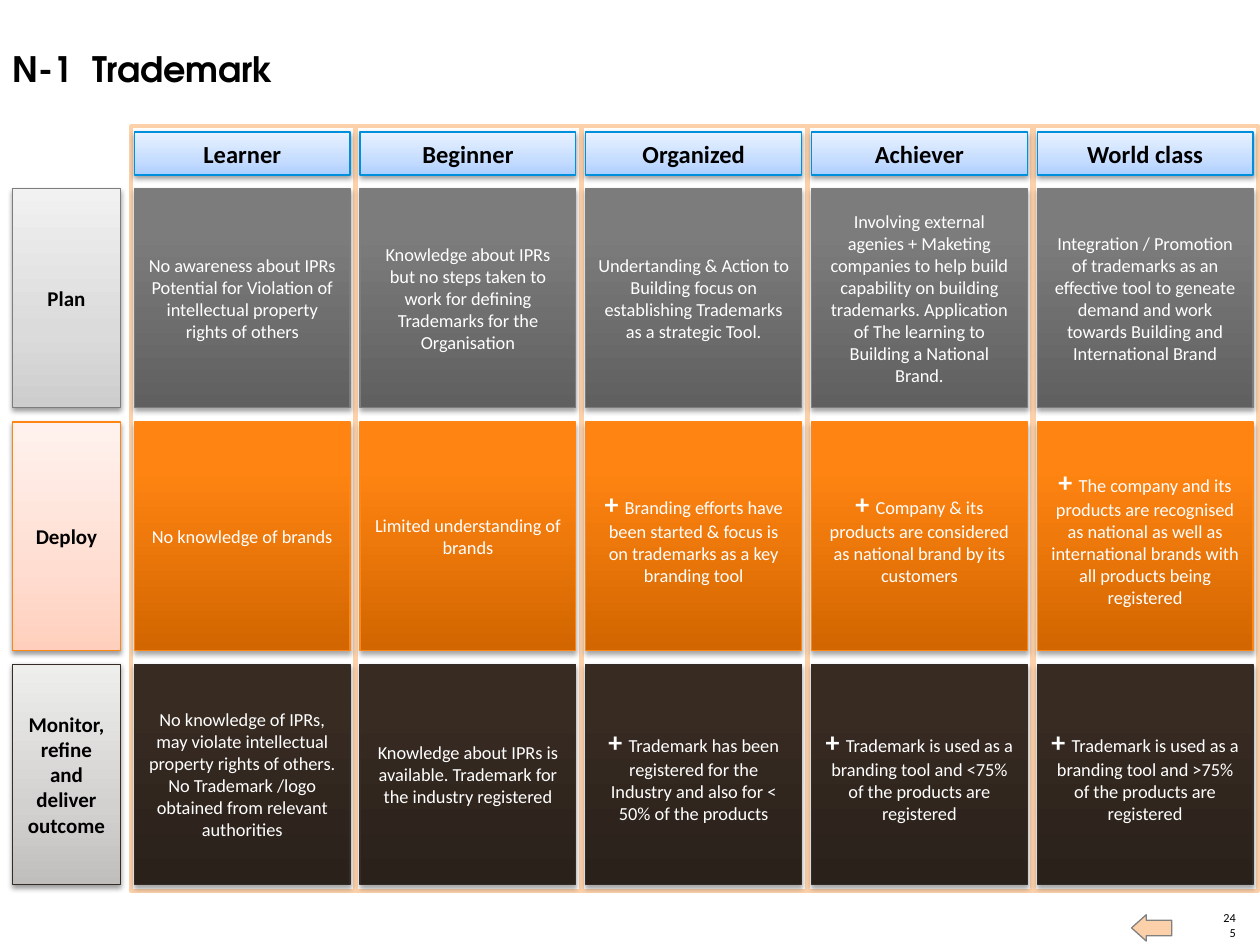
from lxml import etree
from pptx import Presentation
from pptx import util as u
from pptx.dml.color import RGBColor
from pptx.enum import shapes, text
from pptx.oxml.ns import qn

BODY_FONT = "Calibri"
TITLE_FONT = "TeX Gyre Adventor"
PEACH = "FCD1AA"

# Grid, in centimetres
LABEL_LEFT, LABEL_WIDTH = 0.25, 2.18
FRAME_LEFT, FRAME_TOP, FRAME_WIDTH, FRAME_HEIGHT = 2.64, 2.54, 4.52, 15.42
CELL_LEFT, CELL_WIDTH, PITCH = 2.71, 4.35, 4.55
HEADER_TOP, HEADER_HEIGHT = 2.66, 0.87

LABEL_STOPS = (0, 35, 100)
CELL_STOPS = (0, 80, 100)
LABEL_SHADOW = {"opacity": 38, "distance": 1.6}
CELL_SHADOW = {"opacity": 35, "distance": 1.8}

HEADER_COLOURS = ("AECFFF", "C6DDFF", "E9F2FF")
HEADERS = ("Learner", "Beginner", "Organized", "Achiever", "World class")

ROWS = (
    {
        "label": "Plan", "top": 3.8, "height": 4.42, "line": "7D7D7D",
        "label_colours": ("CDCDCD", "DBDBDB", "F1F1F1"),
        "cell_colours": ("606060", "7C7C7C", "7D7D7D"),
        "cells": (
            "No awareness about IPRs\n"
            "Potential for Violation of intellectual property rights of others",
            "Knowledge about IPRs but no steps taken to work for defining "
            "Trademarks for the Organisation",
            "Undertanding & Action to Building focus on establishing "
            "Trademarks as a strategic Tool.",
            "Involving external agenies + Maketing companies to help build "
            "capability on building trademarks. Application of The learning "
            "to Building a National Brand.",
            "Integration / Promotion of trademarks as an effective tool to "
            "geneate demand and work towards Building and International Brand",
        ),
    },
    {
        "label": "Deploy", "top": 8.51, "height": 4.6, "line": "FF8615",
        "label_colours": ("FFCFBD", "FFDDD1", "FFF2EE"),
        "cell_colours": ("D26600", "FF8412", "FF8514"),
        "cells": (
            "No knowledge of brands",
            "Limited understanding of brands",
            "+ Branding efforts have been started & focus is on trademarks "
            "as a key branding tool",
            "+ Company & its products are considered as national brand by "
            "its customers",
            "+ The company and its products are recognised as national as "
            "well as international brands with all products being registered",
        ),
    },
    {
        "label": "Monitor, refine and deliver outcome",
        "top": 13.39, "height": 4.44, "line": "352C25",
        "label_colours": ("C0BEBC", "D3D1D0", "EEEEED"),
        "cell_colours": ("2A211B", "372B22", "372B22"),
        "cells": (
            "No knowledge of IPRs, may violate intellectual property rights "
            "of others. No Trademark /logo obtained from relevant authorities",
            "Knowledge about IPRs is available. Trademark for the industry "
            "registered",
            "+ Trademark has been registered for the Industry and also for "
            "< 50% of the products",
            "+ Trademark is used as a branding tool and <75% of the products "
            "are registered",
            "+ Trademark is used as a branding tool and >75% of the products "
            "are registered",
        ),
    },
)


def colour(value):
    return RGBColor.from_string(value)


def set_values(target, values):
    for name, value in values.items():
        setattr(target, name, value)


def place(left, top, width, height):
    return [u.Cm(length) for length in (left, top, width, height)]


def add_run(paragraph, wording, size, font_colour, bold=False, name=BODY_FONT):
    run = paragraph.add_run()
    run.text = wording
    set_values(run.font, {"name": name, "size": u.Pt(size), "bold": bold})
    run.font.color.rgb = colour(font_colour)


def add_plain_shape(slide, kind, box, fill, line, line_width):
    shape = slide.shapes.add_shape(kind, *place(*box))
    shape.shadow.inherit = False
    shape.fill.solid()
    shape.fill.fore_color.rgb = colour(fill)
    shape.line.color.rgb = colour(line)
    shape.line.width = u.Pt(line_width)
    return shape


def apply_gradient(shape, stops, colours):
    """Fill the shape with colour stops that run from bottom to top."""
    shape.fill.gradient()
    shape.fill.gradient_angle = 90
    stop_list = shape.element.spPr.find(".//" + qn("a:gsLst"))
    for old_stop in list(stop_list):
        stop_list.remove(old_stop)
    for position, value in zip(stops, colours):
        stop = etree.SubElement(stop_list, qn("a:gs"), pos=str(position * 1000))
        etree.SubElement(stop, qn("a:srgbClr"), val=value)


def apply_shadow(shape, opacity, distance):
    effects = shape.element.spPr.find(qn("a:effectLst"))
    shadow = etree.SubElement(
        effects, qn("a:outerShdw"), blurRad=str(u.Pt(3.1)),
        dist=str(u.Pt(distance)), dir="5400000", rotWithShape="0")
    shade = etree.SubElement(shadow, qn("a:srgbClr"), val="000000")
    etree.SubElement(shade, qn("a:alpha"), val=str(opacity * 1000))


def add_card(slide, box, wording, stops, colours, line, shadow, size,
             font_colour, bold):
    """Add a gradient box; a leading plus sign is set large and bold."""
    card = add_plain_shape(slide, shapes.MSO_SHAPE.RECTANGLE, box,
                           colours[0], line, 0.75)
    apply_gradient(card, stops, colours)
    apply_shadow(card, **shadow)
    frame = card.text_frame
    set_values(frame, {"word_wrap": True,
                       "vertical_anchor": text.MSO_ANCHOR.MIDDLE})
    for index, line_text in enumerate(wording.split("\n")):
        paragraph = frame.add_paragraph() if index else frame.paragraphs[0]
        paragraph.alignment = text.PP_ALIGN.CENTER
        if line_text.startswith("+ "):
            add_run(paragraph, "+ ", 16, font_colour, True)
            line_text = line_text[2:]
        add_run(paragraph, line_text, size, font_colour, bold)


def add_label(slide, box, wording, colours, line, size):
    add_card(slide, box, wording, LABEL_STOPS, colours, line, LABEL_SHADOW,
             size, "000000", True)


def add_title(slide, wording):
    title = slide.shapes.title
    left, top, width, height = place(0, 0.84, 21.84, 1.12)
    set_values(title, {"left": left, "top": top,
                       "width": width, "height": height})
    set_values(title.text_frame, {"vertical_anchor": text.MSO_ANCHOR.TOP,
                                  "auto_size": text.MSO_AUTO_SIZE.NONE})
    paragraph = title.text_frame.paragraphs[0]
    paragraph.alignment = text.PP_ALIGN.LEFT
    add_run(paragraph, wording, 20, "000000", True, TITLE_FONT)


def add_page_number(slide, number):
    box = slide.shapes.add_textbox(*place(24.61, 18.64, 0.3, 0.3))
    set_values(box.text_frame, {
        "word_wrap": True, "vertical_anchor": text.MSO_ANCHOR.BOTTOM,
        "margin_left": 0, "margin_right": 0,
        "margin_top": 0, "margin_bottom": 0})
    paragraph = box.text_frame.paragraphs[0]
    paragraph.alignment = text.PP_ALIGN.RIGHT
    add_run(paragraph, number, 7, "000000")


def add_back_arrow(slide):
    arrow = add_plain_shape(slide, shapes.MSO_SHAPE.RIGHT_ARROW,
                            (22.81, 18.44, 0.81, 0.53), PEACH, "808080", 0.75)
    arrow.rotation = 180
    arrow.adjustments[0] = 0.59
    arrow.adjustments[1] = 0.56


def main():
    presentation = Presentation()
    presentation.slide_width = u.Cm(25.4)
    presentation.slide_height = u.Cm(19.05)
    slide = presentation.slides.add_slide(presentation.slide_layouts[5])

    add_page_number(slide, "245")
    add_back_arrow(slide)
    add_title(slide, "N-1  Trademark")

    for row in ROWS:
        box = (LABEL_LEFT, row["top"], LABEL_WIDTH, row["height"])
        add_label(slide, box, row["label"], row["label_colours"], row["line"], 12)
    for column in range(len(HEADERS)):
        box = (FRAME_LEFT + column * PITCH, FRAME_TOP, FRAME_WIDTH, FRAME_HEIGHT)
        add_plain_shape(slide, shapes.MSO_SHAPE.RECTANGLE, box, "FFFFFF", PEACH, 2)
    for row in ROWS:
        for column, wording in enumerate(row["cells"]):
            box = (CELL_LEFT + column * PITCH, row["top"], CELL_WIDTH, row["height"])
            add_card(slide, box, wording, CELL_STOPS, row["cell_colours"],
                     row["line"], CELL_SHADOW, 10.5, "FFFFFF", False)
    for column, header in enumerate(HEADERS):
        box = (CELL_LEFT + column * PITCH, HEADER_TOP, CELL_WIDTH, HEADER_HEIGHT)
        add_label(slide, box, header, HEADER_COLOURS, "008FDC", 14)

    presentation.save("out.pptx")


if __name__ == "__main__":
    main()
